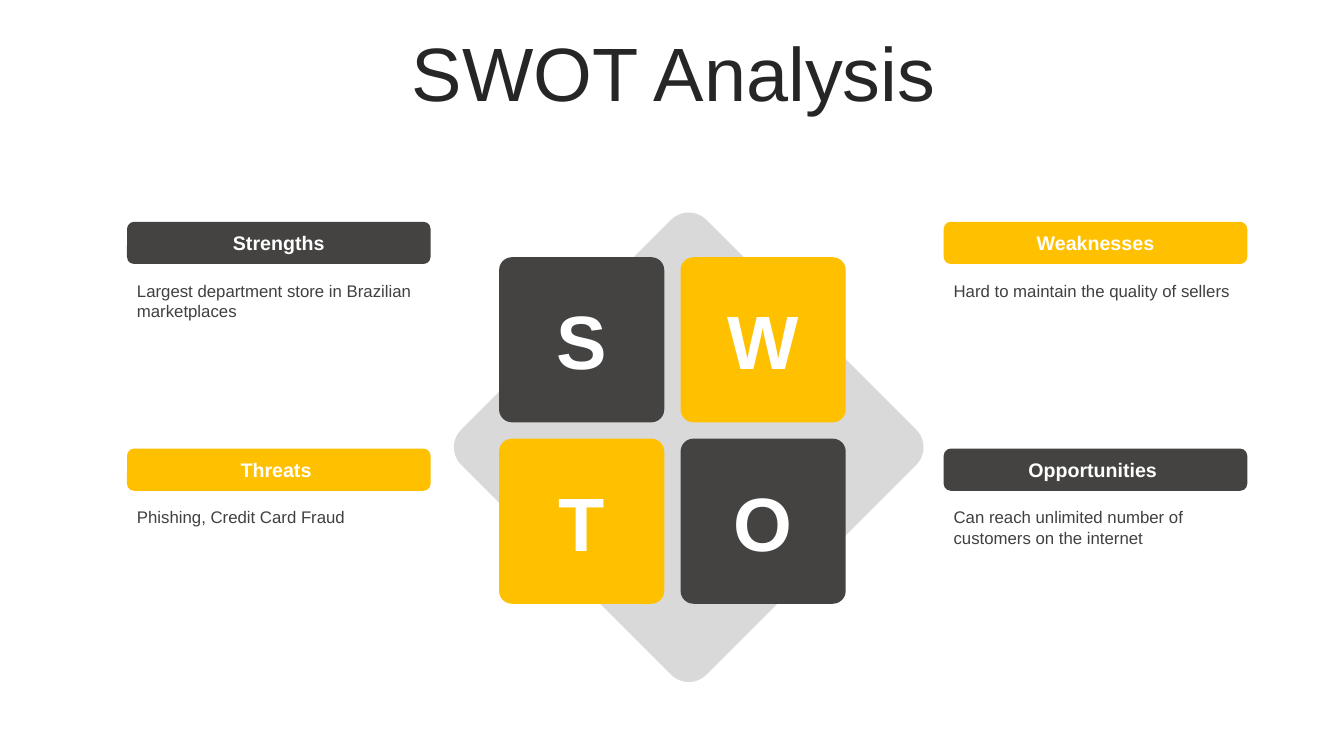
"""Build a SWOT analysis slide on a square grid of 0.45 inch cells."""
from pptx import Presentation
from pptx.dml.color import RGBColor
from pptx.enum.shapes import MSO_SHAPE as Shape
from pptx.enum.text import MSO_ANCHOR as Anchor, PP_ALIGN as Align
from pptx.util import Inches, Pt

CELL = Inches(0.45)
FONT = "Arial"
DARK = RGBColor(0x44, 0x43, 0x42)
AMBER = RGBColor(0xFF, 0xC0, 0x00)
SILVER = RGBColor(0xD9, 0xD9, 0xD9)
WHITE = RGBColor(0xFF, 0xFF, 0xFF)
TITLE_INK = RGBColor(0x26, 0x26, 0x26)
BODY_INK = RGBColor(0x40, 0x40, 0x40)

TILE_PITCH = 4
PANEL_COLUMN_PITCH, PANEL_ROW_PITCH = 18, 5
QUADRANTS = [
    (0, 0, DARK, "S", "Strengths",
     "Largest department store in Brazilian marketplaces"),
    (1, 0, AMBER, "W", "Weaknesses", "Hard to maintain the quality of sellers"),
    (0, 1, AMBER, "T", "Threats ", "Phishing, Credit Card Fraud"),
    (1, 1, DARK, "O", "Opportunities ",
     "Can reach unlimited number of customers on the internet"),
]


def cells(*counts):
    return [int(count * CELL) for count in counts]


def write(box, text, size, color, bold=False, align=Align.CENTER):
    box.text_frame.word_wrap = True
    para = box.text_frame.paragraphs[0]
    para.alignment = align
    run = para.add_run()
    run.text = text
    run.font.name = FONT
    run.font.size = Pt(size)
    run.font.bold = bold
    run.font.color.rgb = color
    return para


def add_rounded(page, area, color, rounding):
    box = page.shapes.add_shape(Shape.ROUNDED_RECTANGLE, *cells(*area))
    box.adjustments[0] = rounding
    box.shadow.inherit = False
    box.fill.solid()
    box.fill.fore_color.rgb = color
    box.line.fill.background()
    return box


def add_title(page, text):
    title = page.shapes.title
    title.left, title.top, title.width, title.height = cells(0.78, 0.82, 28.13, 1.76)
    title.text_frame.vertical_anchor = Anchor.MIDDLE
    para = write(title, text, 54, TITLE_INK)
    para.line_spacing = 0.9


def add_tile(page, column, row, color, letter):
    area = (11 + column * TILE_PITCH, 5.67 + row * TILE_PITCH, 3.64, 3.64)
    tile = add_rounded(page, area, color, 0.078)
    frame = tile.text_frame
    frame.margin_left = frame.margin_right = 0
    frame.margin_top = frame.margin_bottom = 0
    frame.vertical_anchor = Anchor.MIDDLE
    write(tile, letter, 54, WHITE, bold=True)


def add_panel(page, column, row, color, heading, detail):
    left = 2.8 + column * PANEL_COLUMN_PITCH
    top = 4.89 + row * PANEL_ROW_PITCH
    bar = add_rounded(page, (left, top, 6.69, 0.93), color, 0.167)
    bar.text_frame.vertical_anchor = Anchor.MIDDLE
    write(bar, heading, 14, WHITE, bold=True)
    note = page.shapes.add_textbox(*cells(left, top + 1.18, 6.96, 1.11))
    write(note, detail, 12, BODY_INK, align=Align.LEFT)


def main():
    deck = Presentation()
    deck.slide_width, deck.slide_height = Inches(13.33), Inches(7.5)
    page = deck.slides.add_slide(deck.slide_layouts[5])
    add_title(page, "SWOT Analysis")
    diamond = add_rounded(page, (11.36, 6.04, 7.64, 7.64), SILVER, 0.072)
    diamond.rotation = 315
    for column, row, color, letter, heading, detail in QUADRANTS:
        add_tile(page, column, row, color, letter)
        add_panel(page, column, row, color, heading, detail)
    deck.save("out.pptx")


if __name__ == "__main__":
    main()
